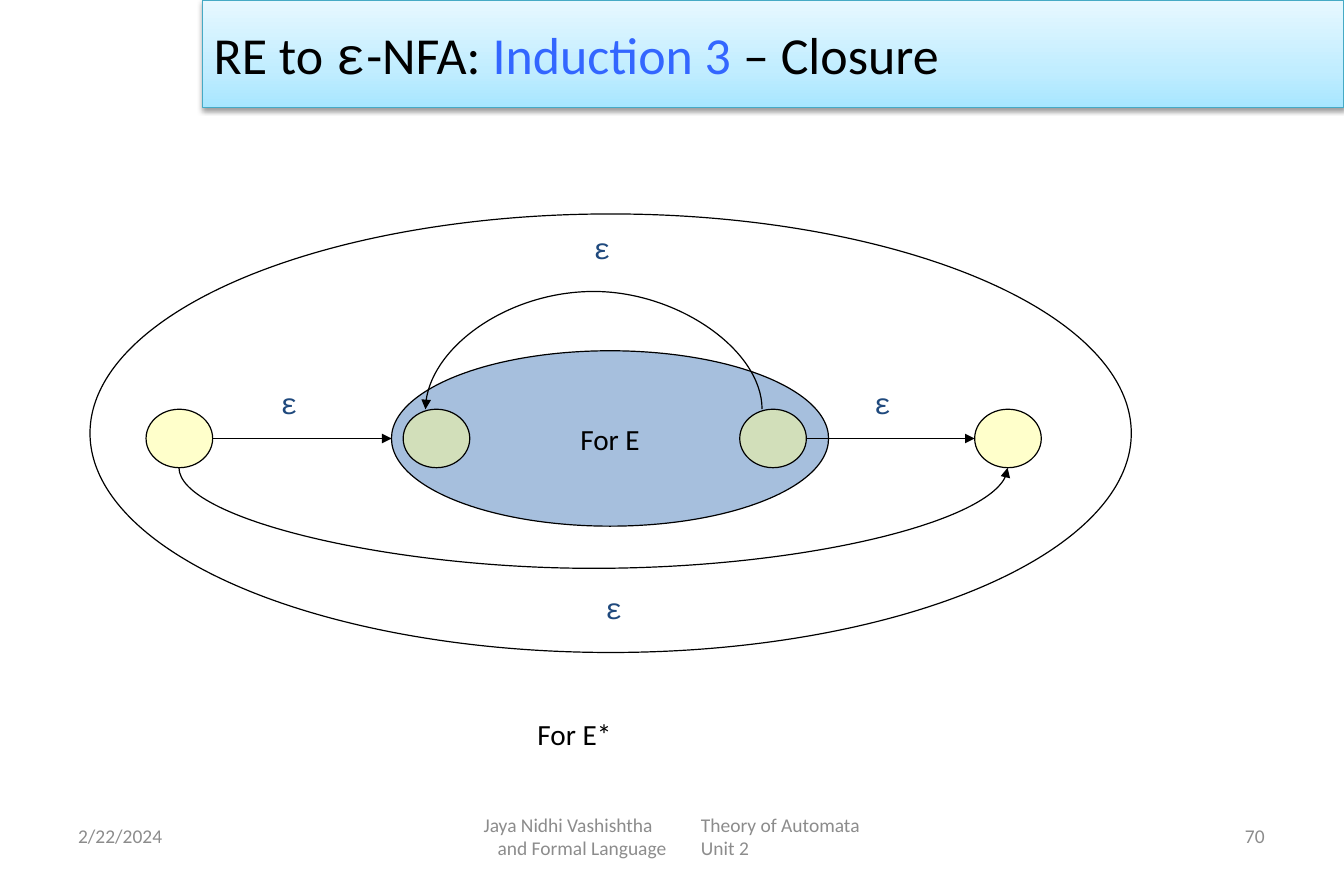
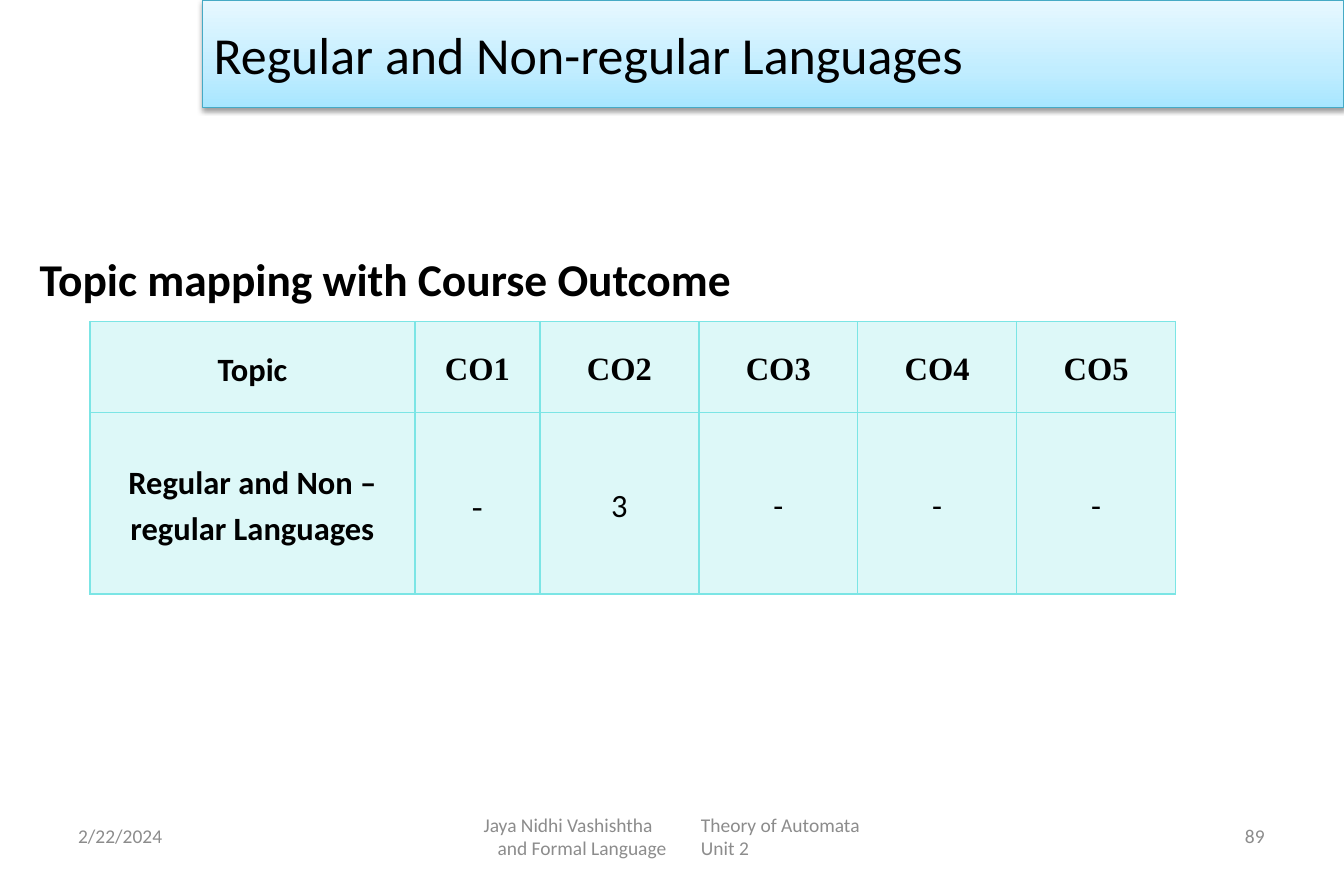
from dataclasses import dataclass

from lxml.etree import SubElement
from pptx import Presentation
from pptx.dml.color import RGBColor
from pptx.enum.shapes import MSO_CONNECTOR, MSO_SHAPE
from pptx.enum.text import MSO_ANCHOR, MSO_AUTO_SIZE, PP_ALIGN
from pptx.oxml.ns import qn
from pptx.util import Emu, Inches, Pt

SLIDE_WIDTH, SLIDE_HEIGHT = Inches(11.5), Inches(7.5)
COLUMNS, ROWS = 115, 75

BLACK = RGBColor(0x00, 0x00, 0x00)
GREY = RGBColor(0x8C, 0x8C, 0x8C)
NAVY = RGBColor(0x1F, 0x49, 0x7D)
ACCENT = RGBColor(0x33, 0x66, 0xFF)
STEEL = RGBColor(0x4F, 0x81, 0xBD)
YELLOW = RGBColor(0xFF, 0xFF, 0x99)
TEAL = RGBColor(0x46, 0xAA, 0xC5)
AQUA = RGBColor(0x7B, 0xE5, 0xE5)
BAND_STOPS = (
    (0, RGBColor(0xA7, 0xE6, 0xFF)),
    (35, RGBColor(0xC1, 0xED, 0xFF)),
    (100, RGBColor(0xE7, 0xF8, 0xFF)),
)
SANS, MONO, SERIF = "Calibri", "Courier New", "Times New Roman"
HAIR = Emu(1588)


def col(count: float) -> Emu:
    return Emu(round(SLIDE_WIDTH * count / COLUMNS))


def row(count: float) -> Emu:
    return Emu(round(SLIDE_HEIGHT * count / ROWS))


@dataclass(frozen=True)
class Box:
    left: float
    top: float
    width: float
    height: float

    def lengths(self) -> tuple[Emu, Emu, Emu, Emu]:
        return col(self.left), row(self.top), col(self.width), row(self.height)


@dataclass(frozen=True)
class Style:
    size: float
    color: RGBColor = BLACK
    font: str = SANS
    bold: bool = False


@dataclass(frozen=True)
class Piece:
    text: str
    color: RGBColor = BLACK
    font: str = SANS


@dataclass(frozen=True)
class Arc:
    start: float
    end: float
    level: float
    drop: float


@dataclass(frozen=True)
class Entry:
    text: str
    font: str = SANS
    bold: bool = False
    space_after: float = 0


BAND = Box(17.3, 0, 97.7, 9.2)
FOOTER_DATE = Box(5.7, 69.5, 26.8, 4)
FOOTER_COURSE = Box(39.3, 69.5, 36.4, 4)
FOOTER_NUMBER = Box(82.4, 69.5, 26.8, 4)
COURSE_LINES = (
    ("\tJaya Nidhi Vashishtha\tTheory of Automata", 1.1),
    ("\tand Formal Language\tUnit 2", 2.3),
)
COURSE_TAB = 19.7
FOOTER = Style(12, GREY)
LABEL = Style(18)
EPSILON = Style(18, NAVY, MONO)

STATE_TOP, STATE_WIDTH, STATE_HEIGHT = 35, 5.7, 5
STATE_MIDDLE = STATE_TOP + STATE_HEIGHT / 2
START, ENTRY, EXIT, FINISH = 12.5, 34.5, 63.3, 83.4
INNER = Box(33.5, 30, 37.4, 15)
OUTER = Box(7.7, 18.3, 89.1, 37.5)
ARROWS = ((START + STATE_WIDTH, INNER.left), (EXIT + STATE_WIDTH, FINISH))
ARCS = (
    Arc(65.2, 36.4, STATE_TOP, -11.1),
    Arc(15.3, 86.2, STATE_TOP + STATE_HEIGHT, 9.5),
)
EPSILONS = ((49.8, 19.2), (50.8, 50), (73.8, 32.5), (23, 32.5))

MAPPING = Box(7.7, 27.5, 92.9, 23.3)
MAPPING_COLUMNS = (27.8, 10.7) + (13.6,) * 4
MAPPING_ROWS = (7.8, 15.5)
MAPPING_ENTRIES = (
    [Entry("Topic", bold=True)]
    + [Entry(f"CO{number}", SERIF, True) for number in range(1, 6)],
    [
        Entry("Regular and Non –regular Languages", bold=True),
        Entry("-", SERIF, space_after=10),
    ]
    + [Entry(mark, space_after=10) for mark in ("3", "-", "-", "-")],
)


def set_font(font, style: Style) -> None:
    font.size = Pt(style.size)
    font.name = style.font
    font.bold = style.bold
    font.color.rgb = style.color


def set_alpha(fill_parent, percent: int) -> None:
    color = fill_parent.find(qn("a:solidFill")).find(qn("a:srgbClr"))
    SubElement(color, qn("a:alpha"), val=str(percent * 1000))


def add_text(slide, box: Box, lines: tuple[str, ...], style: Style,
             align=PP_ALIGN.LEFT, anchor=MSO_ANCHOR.TOP, wrap: bool = True):
    frame = slide.shapes.add_textbox(*box.lengths()).text_frame
    frame.word_wrap = wrap
    frame.auto_size = MSO_AUTO_SIZE.NONE if wrap else MSO_AUTO_SIZE.SHAPE_TO_FIT_TEXT
    frame.vertical_anchor = anchor
    for index, line in enumerate(lines):
        paragraph = frame.add_paragraph() if index else frame.paragraphs[0]
        paragraph.text = line
        paragraph.alignment = align
        set_font(paragraph.font, style)
    return frame


def add_footer(slide, number: int) -> None:
    middle = MSO_ANCHOR.MIDDLE
    add_text(slide, FOOTER_DATE, ("2/22/2024",), FOOTER, anchor=middle)
    course = add_text(slide, FOOTER_COURSE, tuple(text for text, _ in COURSE_LINES),
                      FOOTER, anchor=middle)
    for paragraph, (_, indent) in zip(course.paragraphs, COURSE_LINES):
        properties = paragraph._p.get_or_add_pPr()
        stops = properties.makeelement(qn("a:tabLst"), {})
        properties.insert(0, stops)
        for stop in (indent, COURSE_TAB):
            SubElement(stops, qn("a:tab"), pos=str(col(stop)), algn="l")
    add_text(slide, FOOTER_NUMBER, (str(number),), FOOTER, PP_ALIGN.RIGHT, middle)


def add_title(slide, pieces: tuple[Piece, ...]) -> None:
    band = slide.shapes.add_shape(MSO_SHAPE.RECTANGLE, *BAND.lengths())
    band.line.color.rgb = TEAL
    band.line.width = Pt(0.75)
    band.fill.gradient()
    gradient = band._element.spPr.find(qn("a:gradFill"))
    stops = gradient.find(qn("a:gsLst"))
    for stop in list(stops):
        stops.remove(stop)
    for position, color in BAND_STOPS:
        stop = SubElement(stops, qn("a:gs"), pos=str(position * 1000))
        SubElement(stop, qn("a:srgbClr"), val=str(color))
    gradient.find(qn("a:lin")).set("ang", "16200000")
    band.shadow.inherit = False
    shadow = SubElement(
        band._element.spPr.find(qn("a:effectLst")), qn("a:outerShdw"),
        blurRad=str(Pt(3.1)), dist=str(Pt(1.6)), dir="5400000", rotWithShape="0")
    shade = SubElement(shadow, qn("a:srgbClr"), val=str(BLACK))
    SubElement(shade, qn("a:alpha"), val="38000")
    frame = band.text_frame
    frame.word_wrap = True
    frame.vertical_anchor = MSO_ANCHOR.MIDDLE
    paragraph = frame.paragraphs[0]
    paragraph.alignment = PP_ALIGN.LEFT
    for piece in pieces:
        run = paragraph.add_run()
        run.text = piece.text
        set_font(run.font, Style(32, piece.color, piece.font))


def add_ellipse(slide, box: Box, color: RGBColor | None = None, label: str = "") -> None:
    ellipse = slide.shapes.add_shape(MSO_SHAPE.OVAL, *box.lengths())
    ellipse.shadow.inherit = False
    ellipse.line.color.rgb = BLACK
    ellipse.line.width = Pt(0.75)
    if color is None:
        ellipse.fill.background()
    else:
        ellipse.fill.solid()
        ellipse.fill.fore_color.rgb = color
        set_alpha(ellipse._element.spPr, 50)
    if label:
        frame = ellipse.text_frame
        frame.word_wrap = False
        frame.vertical_anchor = MSO_ANCHOR.MIDDLE
        paragraph = frame.paragraphs[0]
        paragraph.text = label
        paragraph.alignment = PP_ALIGN.CENTER
        set_font(paragraph.font, LABEL)


def add_arrow(slide, kind, begin: tuple[Emu, Emu], end: tuple[Emu, Emu]):
    arrow = slide.shapes.add_connector(kind, *begin, *end)
    arrow.line.color.rgb = BLACK
    arrow.line.width = Pt(0.75)
    SubElement(arrow.line._get_or_add_ln(), qn("a:tailEnd"), type="triangle")
    SubElement(arrow._element.spPr, qn("a:effectLst"))
    return arrow


def add_arc(slide, arc: Arc) -> None:
    middle = col((arc.start + arc.end) / 2)
    level, half_span = row(arc.level), col((arc.end - arc.start) / 2)
    arrow = add_arrow(slide, MSO_CONNECTOR.CURVE,
                      (Emu(middle + HAIR), Emu(level - half_span)),
                      (middle, Emu(level + half_span)))
    properties = arrow._element.spPr
    properties.find(qn("a:xfrm")).set("rot", "16200000")
    geometry = properties.find(qn("a:prstGeom"))
    adjustments = geometry.find(qn("a:avLst"))
    if adjustments is None:
        adjustments = SubElement(geometry, qn("a:avLst"))
    bend = round(row(arc.drop) / HAIR * 100000)
    SubElement(adjustments, qn("a:gd"), name="adj1", fmla=f"val {bend}")


def fill_cell(cell, entry: Entry) -> None:
    cell.margin_top = cell.margin_bottom = 0
    cell.margin_left = cell.margin_right = Inches(0.09)
    cell.vertical_anchor = MSO_ANCHOR.MIDDLE
    paragraph = cell.text_frame.paragraphs[0]
    paragraph.text = entry.text
    paragraph.alignment = PP_ALIGN.CENTER
    paragraph.line_spacing = 1.15
    paragraph.space_after = Pt(entry.space_after)
    set_font(paragraph.font, Style(20, BLACK, entry.font, entry.bold))
    cell.fill.solid()
    cell.fill.fore_color.rgb = AQUA
    properties = cell._tc.get_or_add_tcPr()
    set_alpha(properties, 25)
    for index, side in enumerate(("lnL", "lnR", "lnT", "lnB")):
        border = properties.makeelement(qn(f"a:{side}"), {"w": str(Pt(1))})
        properties.insert(index, border)
        SubElement(SubElement(border, qn("a:solidFill")), qn("a:srgbClr"), val=str(AQUA))


def build_closure(slide) -> None:
    add_footer(slide, 70)
    add_ellipse(slide, INNER, STEEL, "For E")
    for left in (EXIT, ENTRY, FINISH, START):
        add_ellipse(slide, Box(left, STATE_TOP, STATE_WIDTH, STATE_HEIGHT), YELLOW)
    add_ellipse(slide, OUTER)
    add_text(slide, Box(45, 60.8, 8.4, 4), ("For E*",), LABEL, wrap=False)
    for begin, end in ARROWS:
        add_arrow(slide, MSO_CONNECTOR.STRAIGHT, (col(begin), row(STATE_MIDDLE)),
                  (col(end), row(STATE_MIDDLE)))
    for arc in ARCS:
        add_arc(slide, arc)
    for left, top in EPSILONS:
        add_text(slide, Box(left, top, 3.4, 4), ("ε",), EPSILON, wrap=False)
    add_title(slide, (Piece("RE to "), Piece("ε", font=MONO), Piece("-NFA: "),
                      Piece("Induction 3", ACCENT), Piece(" – Closure")))


def build_mapping(slide) -> None:
    add_footer(slide, 89)
    add_text(slide, Box(2.4, 21, 103.5, 6), ("Topic mapping with Course Outcome",),
             Style(28, bold=True))
    add_title(slide, (Piece("Regular and Non-regular Languages"),))
    table = slide.shapes.add_table(len(MAPPING_ROWS), len(MAPPING_COLUMNS),
                                   *MAPPING.lengths()).table
    table.first_row = table.horz_banding = False
    for column, width in zip(table.columns, MAPPING_COLUMNS):
        column.width = col(width)
    for line, height, entries in zip(table.rows, MAPPING_ROWS, MAPPING_ENTRIES):
        line.height = row(height)
        for cell, entry in zip(line.cells, entries):
            fill_cell(cell, entry)


def main() -> None:
    deck = Presentation()
    deck.slide_width, deck.slide_height = SLIDE_WIDTH, SLIDE_HEIGHT
    for build in (build_closure, build_mapping):
        build(deck.slides.add_slide(deck.slide_layouts[6]))
    deck.save("out.pptx")


if __name__ == "__main__":
    main()
